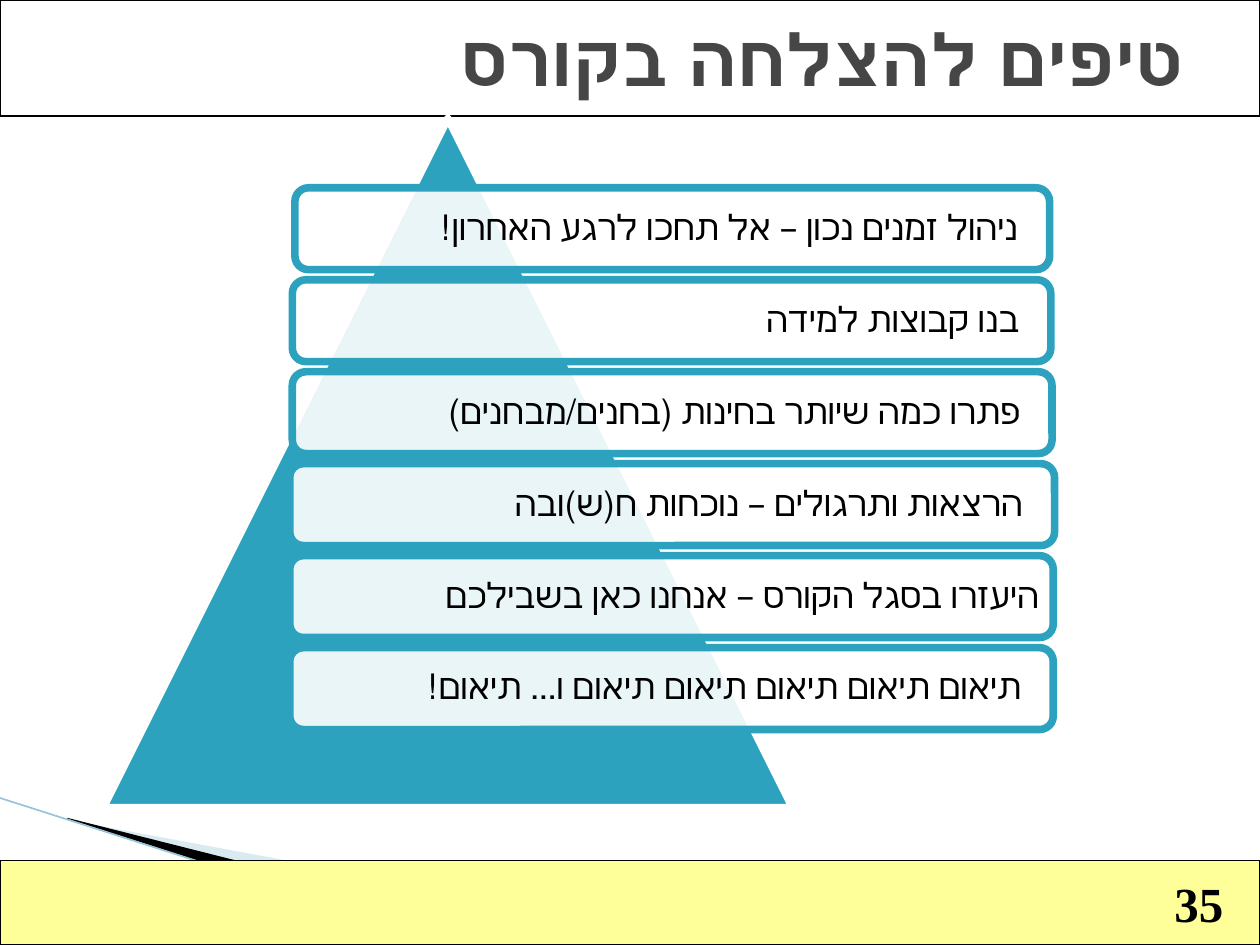
from typing import NamedTuple, Optional

from lxml.etree import SubElement
from pptx import Presentation
from pptx.dml.color import RGBColor
from pptx.enum.shapes import MSO_CONNECTOR, MSO_SHAPE
from pptx.enum.text import MSO_ANCHOR, PP_ALIGN
from pptx.oxml.ns import qn
from pptx.util import Inches, Pt

TEAL, WHITE, BLACK = "2DA2BF", "FFFFFF", "000000"
BODY_FONT, NUMBER_FONT = "Noto Sans Mono", "Times New Roman"
FIRST_TIP_TOP, TIP_PITCH, TIP_HEIGHT = 1.49, 0.73, 0.65
TIP_INSET = 0.03
TEXT_MARGIN = 0.08


class Tip(NamedTuple):
    text: str
    left: float
    width: float
    indent: float = 0.14


class Wedge(NamedTuple):
    points: list
    colour: str
    opacity: int


class TextStyle(NamedTuple):
    size: float
    font: str
    colour: str
    bold: bool = False
    right_to_left: bool = True
    line_spacing: Optional[float] = None


TIPS = [
    Tip("ניהול זמנים נכון – אל תחכו לרגע האחרון!", 2.34, 5.99),
    Tip("בנו קבוצות למידה", 2.32, 6.02),
    Tip("פתרו כמה שיותר בחינות (בחנים/מבחנים)", 2.32, 6.03),
    Tip("הרצאות ותרגולים – נוכחות ח(ש)ובה", 2.3, 6.07),
    Tip("היעזרו בסגל הקורס – אנחנו כאן בשבילכם", 2.3, 6.06, 0),
    Tip("תיאום תיאום תיאום תיאום תיאום ו... תיאום!", 2.3, 6.06),
]
WEDGES = [
    Wedge([(0.55, 6.51), (5.95, 7.51), (4.56, 7.51), (0.55, 6.5)], "A0CBDC", 40),
    Wedge([(0.53, 6.49), (4.57, 7.51), (3.72, 7.52), (0.54, 6.5)], BLACK, 100),
]
TITLE_STYLE = TextStyle(41, BODY_FONT, "464646", bold=True)
TIP_STYLE = TextStyle(20, BODY_FONT, BLACK, line_spacing=0.9)
NUMBER_STYLE = TextStyle(28, NUMBER_FONT, BLACK, bold=True, right_to_left=False)


def rgb(colour: str) -> RGBColor:
    return RGBColor.from_string(colour)


def fill_shape(shape, colour: str, opacity: int = 100) -> None:
    shape.shadow.inherit = False
    shape.fill.solid()
    shape.fill.fore_color.rgb = rgb(colour)
    if opacity < 100:
        colour_node = shape.fill._xPr.find(qn("a:solidFill"))[0]
        SubElement(colour_node, qn("a:alpha"), val=str(opacity * 1000))


def add_block(shapes, preset, place: tuple, fill: str, line: str,
              line_width: float, opacity: int = 100):
    block = shapes.add_shape(preset, *map(Inches, place))
    fill_shape(block, fill, opacity)
    block.line.color.rgb = rgb(line)
    block.line.width = Pt(line_width)
    return block


def add_wedge(shapes, wedge: Wedge) -> None:
    start, *others = [(Inches(x), Inches(y)) for x, y in wedge.points]
    builder = shapes.build_freeform(*start)
    builder.add_line_segments(others)
    shape = builder.convert_to_shape()
    fill_shape(shape, wedge.colour, wedge.opacity)
    shape.line.fill.background()


def write_text(box, text: str, style: TextStyle) -> None:
    """Write one right-aligned, vertically centred paragraph."""
    box.text_frame.vertical_anchor = MSO_ANCHOR.MIDDLE
    para = box.text_frame.paragraphs[0]
    para.text = text
    para.alignment = PP_ALIGN.RIGHT
    if style.line_spacing:
        para.line_spacing = style.line_spacing
    if style.right_to_left:
        para._p.get_or_add_pPr().set("rtl", "1")
    para.font.size = Pt(style.size)
    para.font.bold = style.bold
    para.font.color.rgb = rgb(style.colour)
    para.font.name = style.font


def add_text(shapes, place: tuple, text: str, style: TextStyle):
    box = shapes.add_textbox(*map(Inches, place))
    box.text_frame.word_wrap = True
    write_text(box, text, style)
    return box


def add_tip(shapes, tip: Tip, top: float) -> None:
    add_block(shapes, MSO_SHAPE.ROUNDED_RECTANGLE,
              (tip.left, top, tip.width, TIP_HEIGHT), WHITE, TEAL, 4.33, opacity=90)
    place = (tip.left + TIP_INSET, top + TIP_INSET,
             tip.width - 2 * TIP_INSET, TIP_HEIGHT - 2 * TIP_INSET)
    frame = add_text(shapes, place, tip.text, TIP_STYLE).text_frame
    frame.margin_left = frame.margin_top = frame.margin_bottom = Inches(TEXT_MARGIN)
    frame.margin_right = Inches(TEXT_MARGIN + tip.indent)


def add_backdrop(shapes) -> None:
    for wedge in WEDGES:
        add_wedge(shapes, wedge)
    edge = shapes.add_connector(MSO_CONNECTOR.STRAIGHT, Inches(-0.01), Inches(6.33),
                                Inches(3.71), Inches(7.52))
    edge.line.color.rgb = rgb("97C5D8")
    edge.line.width = Pt(0.95)
    SubElement(edge._element.spPr, qn("a:effectLst"))

    footer = add_block(shapes, MSO_SHAPE.RECTANGLE, (0, 6.83, 10, 0.67),
                       "FFFF99", BLACK, 0.75)
    footer.text_frame.word_wrap = False
    footer.text_frame.margin_right = Inches(0.29)
    write_text(footer, "35", NUMBER_STYLE)
    add_block(shapes, MSO_SHAPE.RECTANGLE, (0, 0, 10, 0.92), WHITE, BLACK, 0.75)


def main() -> None:
    deck = Presentation()
    deck.slide_width, deck.slide_height = Inches(10), Inches(7.5)
    slide = deck.slides.add_slide(deck.slide_layouts[6])
    add_backdrop(slide.shapes)
    add_text(slide.shapes, (0.5, -0.17, 9, 1.25), "טיפים להצלחה בקורס", TITLE_STYLE)

    pyramid = slide.shapes.add_group_shape().shapes
    add_block(pyramid, MSO_SHAPE.ISOSCELES_TRIANGLE, (0.82, 0.94, 5.47, 5.47),
              TEAL, WHITE, 4.33)
    for index, tip in enumerate(TIPS):
        add_tip(pyramid, tip, FIRST_TIP_TOP + index * TIP_PITCH)
    deck.save("out.pptx")


if __name__ == "__main__":
    main()
